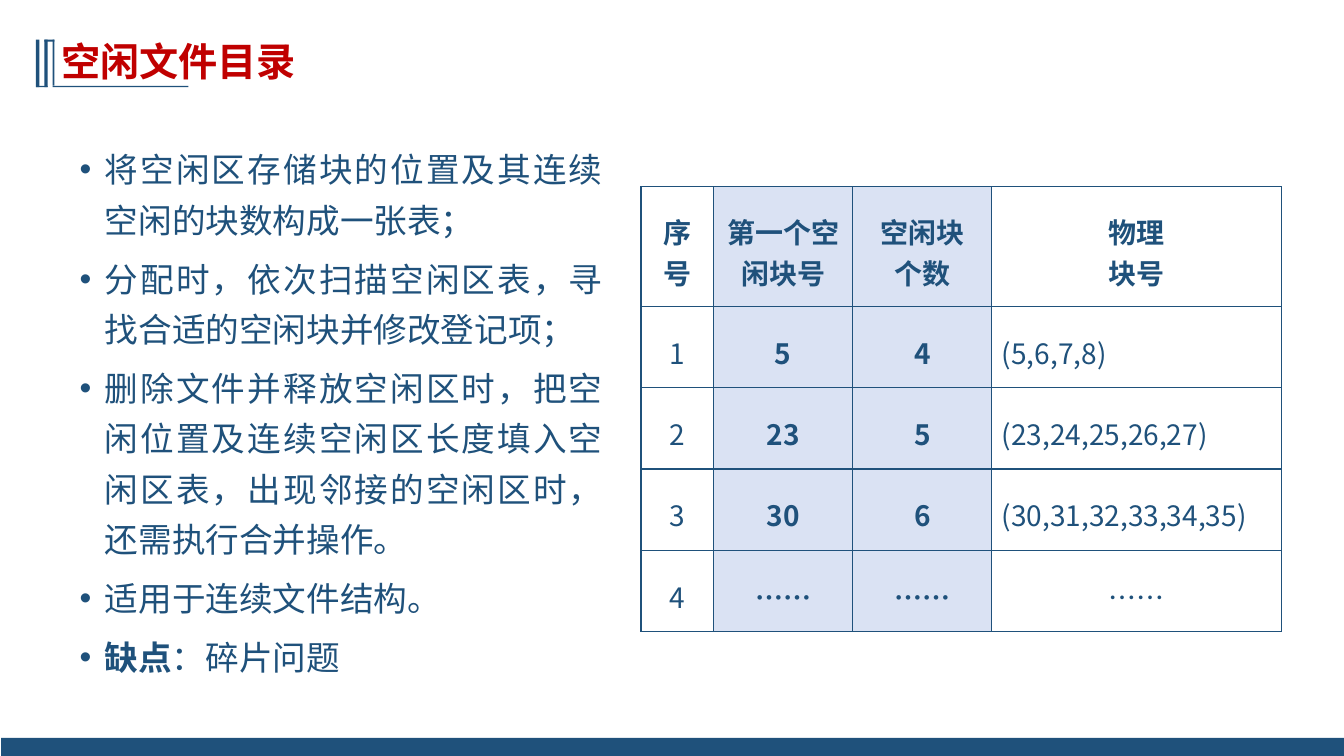
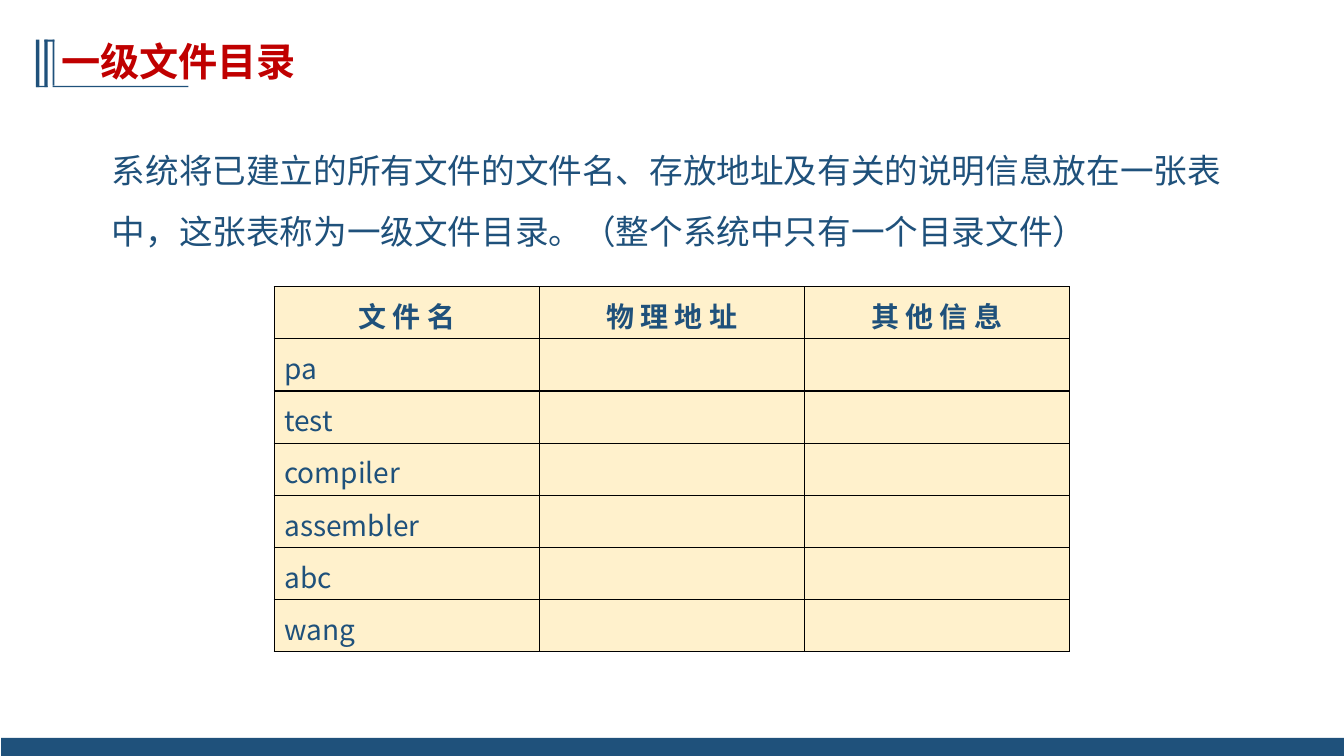
from lxml import etree
from pptx import Presentation
from pptx.dml.color import RGBColor
from pptx.enum.shapes import MSO_SHAPE
from pptx.enum.text import MSO_ANCHOR, MSO_AUTO_SIZE, PP_ALIGN
from pptx.oxml.ns import qn
from pptx.util import Inches, Pt

RECTANGLE = MSO_SHAPE.RECTANGLE
TOP, MIDDLE = MSO_ANCHOR.TOP, MSO_ANCHOR.MIDDLE
NO_FIT = MSO_AUTO_SIZE.NONE
LEFT, CENTER, JUSTIFY = PP_ALIGN.LEFT, PP_ALIGN.CENTER, PP_ALIGN.JUSTIFY

SLIDE_WIDTH, SLIDE_HEIGHT = Inches(13.333), Inches(7.5)
FONT = "Noto Sans CJK SC"
NAVY, RED, BLACK, WHITE = "1F517B", "C00000", "000000", "FFFFFF"
PALE_BLUE, CREAM = "DAE2F3", "FFF1CC"

# Areas are left, top, width and height in percent of the slide.
TITLE_AREA = (4.55, 4.93, 18, 6.3)
BAND = (0.08, 97.6, 99.92, 2.4)
TITLE_MARK = [
    (2.68, 5.25, 0.26, 6.3),
    (3.3, 5.25, 0.24, 6.3),
    (3.92, 5.25, 0.12, 6.1),
    (3.3, 5.25, 0.74, 0.25),
    (2.68, 11.35, 0.86, 0.2),
    (3.92, 11.35, 10.1, 0.2),
]

FREE_SPACE_POINTS = [
    ("", "将空闲区存储块的位置及其连续空闲的块数构成一张表；"),
    ("", "分配时，依次扫描空闲区表，寻找合适的空闲块并修改登记项；"),
    ("", "删除文件并释放空闲区时，把空闲位置及连续空闲区长度填入空"
         "闲区表，出现邻接的空闲区时，还需执行合并操作。"),
    ("", "适用于连续文件结构。"),
    ("缺点", "：碎片问题"),
]
FREE_SPACE_ROWS = [
    ["序\n号", "第一个空\n闲块号", "空闲块\n个数", "物理\n块号"],
    ["1", "5", "4", "(5,6,7,8)"],
    ["2", "23", "5", "(23,24,25,26,27)"],
    ["3", "30", "6", "(30,31,32,33,34,35)"],
    ["4", "……", "……", "……"],
]
DIRECTORY_TEXT = [
    ("", "系统将已建立的所有文件的文件名、存放地址及有关的说明信息放在一张表"
         "中，这张表称为一级文件目录。（整个系统中只有一个目录文件）"),
]
DIRECTORY_HEADER = ["文 件 名", "物 理 地 址", "其 他 信 息"]
DIRECTORY_FILES = ["pa", "test", "compiler", "assembler", "abc", "wang"]


def color(value):
    """Turn a hex string into a colour."""
    return RGBColor.from_string(value)


def across(share):
    """Give a percentage of the slide width."""
    return round(SLIDE_WIDTH * share / 100)


def down(share):
    """Give a percentage of the slide height."""
    return round(SLIDE_HEIGHT * share / 100)


def place(area):
    """Convert an area in percent to slide lengths."""
    left, top, width, height = area
    return across(left), down(top), across(width), down(height)


def format_span(span, size, tint, bold=False):
    """Set the font of one run for Latin and Chinese text."""
    font = span.font
    font.name, font.size, font.bold = FONT, Pt(size), bold
    font.color.rgb = color(tint)
    east_asian = etree.SubElement(span._r.get_or_add_rPr(), qn("a:ea"))
    east_asian.set("typeface", FONT)


def prepare_frame(holder, area):
    """Move a placeholder and return its text frame without insets."""
    holder.left, holder.top, holder.width, holder.height = place(area)
    frame = holder.text_frame
    frame.margin_left = frame.margin_right = 0
    frame.margin_top = frame.margin_bottom = 0
    frame.word_wrap, frame.auto_size = True, NO_FIT
    frame.vertical_anchor = TOP
    return frame


def set_bullet(para, bulleted):
    """Give a paragraph a hanging bullet or none."""
    properties = para._p.get_or_add_pPr()
    properties.set("marL", str(Inches(0.26 if bulleted else 0)))
    properties.set("indent", str(Inches(-0.25 if bulleted else 0)))
    if bulleted:
        etree.SubElement(properties, qn("a:buFont")).set("typeface", "Arial")
        etree.SubElement(properties, qn("a:buChar")).set("char", "•")
    else:
        etree.SubElement(properties, qn("a:buNone"))


def add_bar(page, area):
    """Draw a plain navy rectangle."""
    bar = page.shapes.add_shape(RECTANGLE, *place(area))
    bar.shadow.inherit = False
    bar.fill.solid()
    bar.fill.fore_color.rgb = color(NAVY)
    bar.line.fill.background()


def add_page(deck, title):
    """Add a slide with the shared title, title mark and footer band."""
    page = deck.slides.add_slide(deck.slide_layouts[1])
    for area in [BAND, *TITLE_MARK]:
        add_bar(page, area)
    frame = prepare_frame(page.shapes.title, TITLE_AREA)
    frame.text = title
    para = frame.paragraphs[0]
    para.alignment, para.line_spacing, para.space_before = LEFT, Pt(34), Pt(0)
    format_span(para.runs[0], 28, RED, bold=True)
    return page


def fill_body(page, area, items, spacing, bulleted):
    """Write paragraphs with optional bold leads into the body placeholder."""
    frame = prepare_frame(page.placeholders[1], area)
    for index, item in enumerate(items):
        para = frame.add_paragraph() if index else frame.paragraphs[0]
        set_bullet(para, bulleted)
        para.alignment = JUSTIFY if bulleted else LEFT
        para.line_spacing = Pt(spacing)
        para.space_before = Pt(6 if index else 0)
        for text, bold in zip(item, (True, False)):
            if text:
                span = para.add_run()
                span.text = text
                format_span(span, 24, NAVY, bold)


def set_borders(cell, tint):
    """Draw a one-point line on all four sides of a cell."""
    properties = cell._tc.get_or_add_tcPr()
    for index, side in enumerate(("lnL", "lnR", "lnT", "lnB")):
        line = etree.Element(qn(f"a:{side}"), w=str(Pt(1)))
        fill = etree.SubElement(line, qn("a:solidFill"))
        etree.SubElement(fill, qn("a:srgbClr")).set("val", tint)
        properties.insert(index, line)


def fill_cell(cell, text, fill, border, bold, alignment, top_margin):
    """Write and format one table cell."""
    cell.fill.solid()
    cell.fill.fore_color.rgb = color(fill)
    set_borders(cell, border)
    cell.margin_left = Inches(0.1 if alignment == LEFT else 0)
    cell.margin_right = cell.margin_bottom = 0
    cell.margin_top = Inches(top_margin)
    cell.vertical_anchor = MIDDLE
    cell.text_frame.text = text
    for para in cell.text_frame.paragraphs:
        para.alignment = alignment
        for span in para.runs:
            format_span(span, 20, NAVY, bold)


def add_grid(page, corner, widths, heights, rows, fills, border,
             bold_columns, left_column, top_margin):
    """Add a table with a bold header and one fill per column."""
    area = (*corner, sum(widths), sum(heights))
    table = page.shapes.add_table(len(rows), len(widths), *place(area)).table
    table.first_row = table.horz_banding = False
    for column, width in zip(table.columns, widths):
        column.width = across(width)
    for row, height in zip(table.rows, heights):
        row.height = down(height)
    for r, texts in enumerate(rows):
        for c, text in enumerate(texts):
            is_left = r > 0 and c == left_column and text != "……"
            fill_cell(table.cell(r, c), text, fills[c], border,
                      r == 0 or c in bold_columns,
                      LEFT if is_left else CENTER, top_margin)


def add_free_space_page(deck):
    """Build the slide on the free file directory."""
    page = add_page(deck, "空闲文件目录")
    fill_body(page, (5.85, 18.4, 39, 71.1), FREE_SPACE_POINTS, 36, True)
    add_grid(page, (47.7, 24.7), [5.4, 10.35, 10.35, 21.55],
             [15.8] + [10.77] * 4, FREE_SPACE_ROWS,
             [WHITE, PALE_BLUE, PALE_BLUE, WHITE], NAVY,
             bold_columns=(1, 2), left_column=3, top_margin=0.1)


def add_directory_page(deck):
    """Build the slide on the one-level file directory."""
    page = add_page(deck, "一级文件目录")
    fill_body(page, (8.33, 17.07, 82.8, 16), DIRECTORY_TEXT, 43.5, False)
    rows = [DIRECTORY_HEADER] + [[name, "", ""] for name in DIRECTORY_FILES]
    add_grid(page, (20.4, 37.92), [19.72] * 3, [6.9] * len(rows), rows,
             [CREAM] * 3, BLACK,
             bold_columns=(), left_column=0, top_margin=0.05)


def main():
    """Build and save the deck."""
    deck = Presentation()
    deck.slide_width, deck.slide_height = SLIDE_WIDTH, SLIDE_HEIGHT
    add_free_space_page(deck)
    add_directory_page(deck)
    deck.save("out.pptx")


if __name__ == "__main__":
    main()
